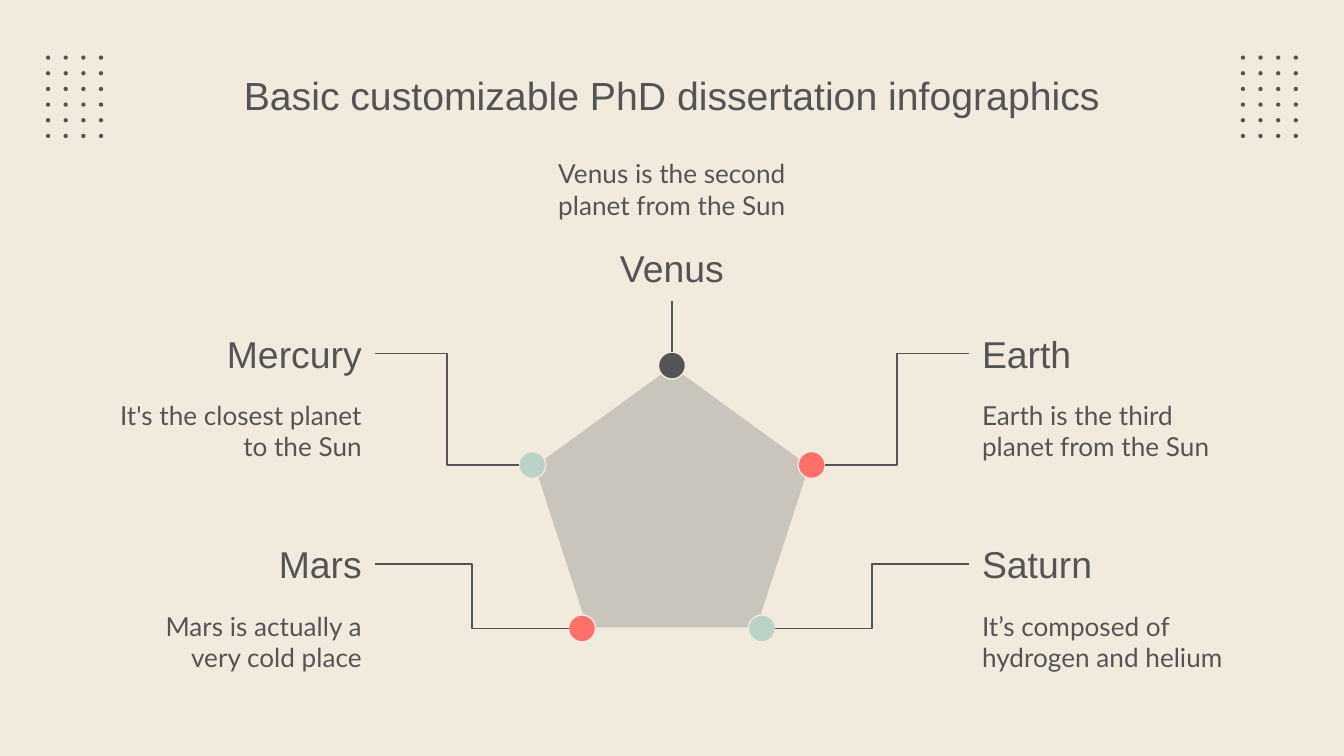
from pptx import Presentation
from pptx.dml.color import RGBColor
from pptx.enum.shapes import MSO_CONNECTOR as Link, MSO_SHAPE as Kind
from pptx.enum.text import MSO_ANCHOR as Anchor, PP_ALIGN as Align
from pptx.oxml.ns import qn
from pptx.util import Cm, Pt

INK, SAND, GREY, RED, MINT = "545457", "F2EADD", "CAC5BC", "FF706B", "BBD3C7"
SIZE = 0.51
WIDE = 5.08


def tint(code):
    return RGBColor.from_string(code)


def write(box, text, font="Arial", size=20, color=INK, align=Align.LEFT,
          anchor=Anchor.MIDDLE):
    frame = box.text_frame
    frame.word_wrap = True
    frame.vertical_anchor = anchor
    frame.margin_left = frame.margin_right = Cm(0.25)
    frame.margin_top = frame.margin_bottom = Cm(0.25)
    para = frame.paragraphs[0]
    para.alignment = align
    run = para.add_run()
    run.text = text
    run.font.name = font
    run.font.size = Pt(size)
    run.font.color.rgb = tint(color)


class Board:
    """Draw styled elements on one slide, measured in centimetres."""

    def __init__(self, slide):
        self.slide = slide
        self.shapes = slide.shapes
        fill = slide.background.fill
        fill.solid()
        fill.fore_color.rgb = tint(SAND)

    def text(self, x, y, w, h, text, **style):
        box = self.shapes.add_textbox(Cm(x), Cm(y), Cm(w), Cm(h))
        write(box, text, **style)
        return box

    def shape(self, kind, x, y, w, h, color, edge=None):
        item = self.shapes.add_shape(kind, Cm(x), Cm(y), Cm(w), Cm(h))
        item.shadow.inherit = False
        item.fill.solid()
        item.fill.fore_color.rgb = tint(color)
        if edge:
            item.line.color.rgb = tint(edge)
            item.line.width = Pt(0.75)
        else:
            item.line.fill.background()

    def node(self, x, y, color):
        self.shape(Kind.OVAL, x - SIZE / 2, y - SIZE / 2, SIZE, SIZE, color, SAND)

    def link(self, kind, x1, y1, x2, y2):
        line = self.shapes.add_connector(kind, Cm(x1), Cm(y1), Cm(x2), Cm(y2))
        line.line.color.rgb = tint(INK)
        line.line.width = Pt(0.75)
        props = line._element.spPr
        props.append(props.makeelement(qn("a:effectLst"), {}))

    def dots(self, left, top):
        for row in range(6):
            for col in range(4):
                self.shape(Kind.OVAL, left + col / 3, top + row * 1.48 / 5,
                           0.08, 0.08, INK)

    def label(self, x, y, head, body, align, gap=1.25, anchor=Anchor.TOP):
        high = 1.52
        self.text(x, y, WIDE, 1.26, head, align=align)
        self.text(x, y + gap, WIDE, high, body, font="Lato", size=14,
                  align=align, anchor=anchor)


def main():
    deck = Presentation()
    deck.slide_width, deck.slide_height = Cm(25.4), Cm(14.29)
    board = Board(deck.slides.add_slide(deck.slide_layouts[6]))
    mid = 12.7

    for left in (0.87, 23.45):
        board.dots(left, 1.05)
    title = board.text(2, 1.02, 21.4, 1.6,
                       "Basic customizable PhD dissertation infographics",
                       size=21, align=Align.CENTER)
    title.text_frame.margin_top = Cm(0.18)

    board.shape(Kind.REGULAR_PENTAGON, 10.11, 6.93, 5.18, 4.93, GREY)
    board.label(mid - WIDE / 2, 4.42, "Venus",
                "Venus is the second planet from the Sun",
                Align.CENTER, gap=-1.52, anchor=Anchor.BOTTOM)
    board.node(mid, 6.91, INK)
    board.link(Link.STRAIGHT, mid, 6.91 - SIZE / 2, mid, 5.69)

    items = [
        ("Mercury", "It's the closest planet to the Sun", -1, 6.05, 2.64, 8.79, MINT),
        ("Earth", "Earth is the third planet from the Sun", 1, 6.05, 2.64, 8.79, RED),
        ("Mars", "Mars is actually a very cold place", -1, 10.03, 1.7, 11.88, RED),
        ("Saturn", "It’s composed of hydrogen and helium", 1, 10.03, 1.7, 11.88, MINT),
    ]
    for head, body, side, top, reach, y, color in items:
        x = mid + side * reach
        end = mid + side * 5.61
        left = end if side > 0 else end - WIDE
        align = Align.LEFT if side > 0 else Align.RIGHT
        board.label(left, top, head, body, align)
        board.node(x, y, color)
        board.link(Link.ELBOW, x + side * SIZE / 2, y, end, top + 0.63)

    deck.save("out.pptx")


if __name__ == "__main__":
    main()
